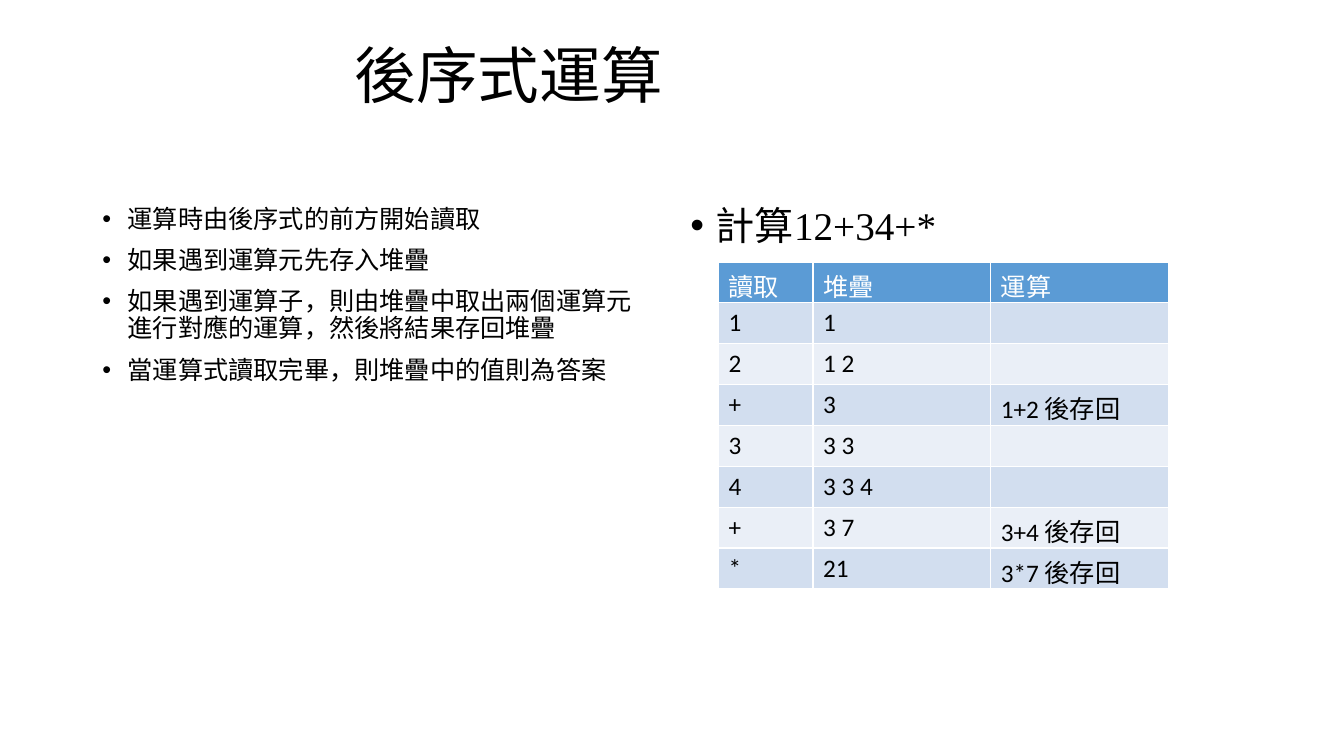
from dataclasses import dataclass
from lxml.etree import SubElement
from pptx import Presentation
from pptx.dml.color import RGBColor as RGB
from pptx.oxml.ns import qn
from pptx.util import Cm, Pt


@dataclass(frozen=True)
class Theme:
    serif: str = "Times New Roman"
    sans: str = "Calibri"
    title: int = 44
    topic: int = 28
    text: int = 18
    black: str = "000000"
    white: str = "FFFFFF"
    head: str = "5B9BD5"
    bands: tuple = ("EAEFF7", "D2DEEF")


theme = Theme()
deck = Presentation()
deck.slide_width, deck.slide_height = Cm(33.87), Cm(19.05)
slide = deck.slides.add_slide(deck.slide_layouts[6])


def style(run, face, size, color):
    for name, value in {"name": face, "size": Pt(size)}.items():
        setattr(run.font, name, value)
    run.font.color.rgb = RGB.from_string(color)


def write(box, lines, size, bullet):
    """Add a text box with one paragraph per line, bulleted on request."""
    frame = slide.shapes.add_textbox(*map(Cm, box)).text_frame
    frame.word_wrap = True
    for i, line in enumerate(lines):
        para = frame.add_paragraph() if i else frame.paragraphs[0]
        para.line_spacing = 0.9
        run = para.add_run()
        run.text = line
        style(run, theme.serif, size, theme.black)
        if bullet:
            para.space_before = Pt(10)
            props = para._p.get_or_add_pPr()
            props.set("marL", str(Cm(0.64)))
            props.set("indent", str(-Cm(0.64)))
            SubElement(props, qn("a:buFont"), typeface="Arial")
            SubElement(props, qn("a:buChar"), char="•")


rules = [
    "運算時由後序式的前方開始讀取",
    "如果遇到運算元先存入堆疊",
    "如果遇到運算子，則由堆疊中取出兩個運算元進行對應的運算，然後將結果存回堆疊",
    "當運算式讀取完畢，則堆疊中的值則為答案",
]
write((8.69, 1.02, 22.83, 3.68), ["後序式運算"], theme.title, False)
write((2.33, 5.08, 14.4, 12.09), rules, theme.text, True)
write((17.15, 5.08, 14.4, 12.09), ["計算12+34+*"], theme.topic, True)

# Stack trace table
steps = [
    ("讀取", "堆疊", "運算"),
    ("1", "1", ""),
    ("2", "1 2", ""),
    ("+", "3", "1+2 後存回"),
    ("3", "3 3", ""),
    ("4", "3 3 4", ""),
    ("+", "3 7", "3+4 後存回"),
    ("*", "21", "3*7 後存回"),
]
widths = (2.38, 4.48, 4.48)
high = 1.03
table = slide.shapes.add_table(
    len(steps), len(widths), Cm(18.11), Cm(6.6),
    Cm(sum(widths)), Cm(high * len(steps))).table
for col, width in zip(table.columns, widths):
    col.width = Cm(width)

for r, step in enumerate(steps):
    table.rows[r].height = Cm(high)
    fill = theme.bands[r % 2] if r else theme.head
    ink = theme.black if r else theme.white
    for c, word in enumerate(step):
        cell = table.cell(r, c)
        props = cell._tc.get_or_add_tcPr()
        for side in ("lnL", "lnR", "lnT", "lnB"):
            edge = SubElement(props, qn(f"a:{side}"), w=str(Pt(1)))
            solid = SubElement(edge, qn("a:solidFill"))
            SubElement(solid, qn("a:srgbClr"), val=theme.white)
        cell.fill.solid()
        cell.fill.fore_color.rgb = RGB.from_string(fill)
        if word:
            run = cell.text_frame.paragraphs[0].add_run()
            run.text = word
            style(run, theme.sans, theme.text, ink)
            run.font.bold = False

deck.save("out.pptx")
